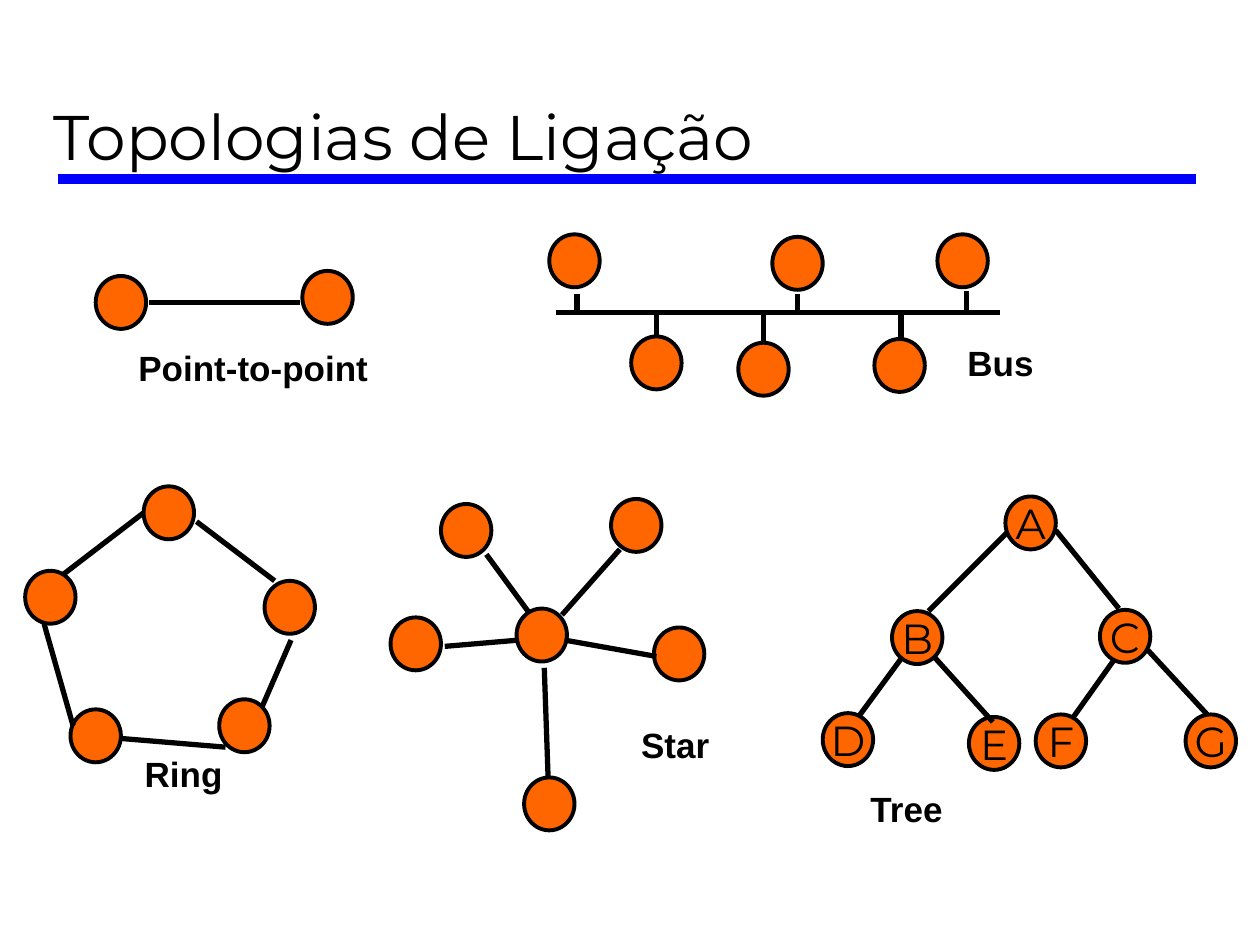
"""Build a slide that compares five network connection topologies."""
from lxml import etree
from pptx import Presentation
from pptx.dml.color import RGBColor
from pptx.enum.shapes import MSO_CONNECTOR, MSO_SHAPE
from pptx.enum.text import MSO_ANCHOR, MSO_AUTO_SIZE, PP_ALIGN
from pptx.oxml.ns import qn
from pptx.util import Cm, Pt

STRAIGHT = MSO_CONNECTOR.STRAIGHT
OVAL = MSO_SHAPE.OVAL
TOP, MIDDLE, BOTTOM = MSO_ANCHOR.TOP, MSO_ANCHOR.MIDDLE, MSO_ANCHOR.BOTTOM
NO_FIT = MSO_AUTO_SIZE.NONE
LEFT, CENTER = PP_ALIGN.LEFT, PP_ALIGN.CENTER

BLACK, BLUE, ORANGE = "000000", "0000FF", "FF6600"
CM_PER_UNIT = 2.54
NODE_WIDTH, NODE_HEIGHT = 0.4, 0.42
BUS_Y = 2.48
BUS_DROPS = [(4.58, 2.33), (6.33, 2.33), (7.67, 2.31),
             (5.21, 2.68), (6.06, 2.72), (7.15, 2.7)]

TITLE = ("Topologias de Ligação", (0.33, 0.17, 9.35, 1.25))
TITLE_RULE = (0.46, 1.42, 9.49, 1.42)

TOPOLOGIES = [
    {
        "label": ("Point-to-point", (1, 2.7, 2.04, 0.43)),
        "nodes": [("", 0.76, 2.19), ("", 2.4, 2.15)],
        "links": [(1.18, 2.4, 2.38, 2.4)],
    },
    {
        "label": ("Bus", (7.58, 2.66, 0.74, 0.43)),
        "nodes": [("", 4.36, 1.86), ("", 5.01, 2.67), ("", 5.86, 2.72),
                  ("", 6.13, 1.88), ("", 6.94, 2.69), ("", 7.44, 1.86)],
        "links": [(4.41, BUS_Y, 7.94, BUS_Y)]
        + [(x, y, x, BUS_Y) for x, y in BUS_DROPS],
    },
    {
        "label": ("Ring", (1.05, 5.92, 0.82, 0.43)),
        "nodes": [("", 1.14, 3.86), ("", 0.2, 4.53), ("", 2.1, 4.61),
                  ("", 0.56, 5.63), ("", 1.74, 5.55)],
        "links": [(0.5, 4.56, 1.14, 4.07), (1.56, 4.14, 2.18, 4.61),
                  (2.31, 5.08, 2.08, 5.61), (1.79, 5.93, 0.95, 5.86),
                  (0.58, 5.76, 0.35, 4.95)],
    },
    {
        "label": ("Star", (4.99, 5.69, 0.74, 0.43)),
        "nodes": [("", 3.5, 4), ("", 3.1, 4.9), ("", 4.1, 4.83),
                  ("", 4.16, 6.17), ("", 4.85, 3.96), ("", 5.19, 4.98)],
        "links": [(3.86, 4.4, 4.19, 4.85), (3.53, 5.13, 4.12, 5.08),
                  (4.92, 4.36, 4.46, 4.88), (5.21, 5.21, 4.48, 5.08),
                  (4.32, 5.3, 4.35, 6.17)],
    },
    {
        "label": ("Tree", (6.81, 6.2, 0.79, 0.43)),
        "nodes": [("A", 7.98, 3.94), ("B", 7.08, 4.85), ("C", 8.73, 4.84),
                  ("D", 6.53, 5.66), ("E", 7.69, 5.69), ("F", 8.22, 5.67),
                  ("G", 9.41, 5.67)],
        "links": [(7.37, 4.85, 7.99, 4.23), (8.38, 4.21, 8.88, 4.83),
                  (6.82, 5.68, 7.15, 5.23), (7.88, 5.73, 7.42, 5.22),
                  (8.52, 5.69, 8.84, 5.24), (9.58, 5.67, 9.11, 5.16)],
    },
]

TITLE_STYLE = {
    "frame": {"word_wrap": True, "auto_size": NO_FIT, "vertical_anchor": BOTTOM},
    "font": {"name": "Montserrat", "size": Pt(36), "bold": False},
    "paragraph": {"alignment": LEFT},
}
LABEL_STYLE = {
    "frame": {"word_wrap": False, "auto_size": NO_FIT, "vertical_anchor": TOP},
    "font": {"name": "Arial", "size": Pt(20), "bold": True},
    "paragraph": {"alignment": LEFT},
}
NODE_STYLE = {
    "frame": {"word_wrap": False, "auto_size": NO_FIT, "vertical_anchor": MIDDLE},
    "font": {"name": "Montserrat", "size": Pt(24), "bold": False},
    "paragraph": {"alignment": CENTER},
}


def color(hex_string):
    return RGBColor.from_string(hex_string)


def lengths(values):
    return [Cm(value * CM_PER_UNIT) for value in values]


def write(shape, text, style):
    frame = shape.text_frame
    paragraph = frame.paragraphs[0]
    run = paragraph.add_run()
    run.text = text
    run.font.color.rgb = color(BLACK)
    targets = {"frame": frame, "paragraph": paragraph, "font": run.font}
    for part, target in targets.items():
        for attribute, value in style[part].items():
            setattr(target, attribute, value)


def add_text(slide, text, box, style):
    write(slide.shapes.add_textbox(*lengths(box)), text, style)


def add_link(slide, ends, hex_string=BLACK, width=3):
    link = slide.shapes.add_connector(STRAIGHT, *lengths(ends))
    link.line.color.rgb = color(hex_string)
    link.line.width = Pt(width)
    etree.SubElement(link.element.spPr, qn("a:effectLst"))


def add_node(slide, letter, left, top):
    box = (left, top, NODE_WIDTH, NODE_HEIGHT)
    node = slide.shapes.add_shape(OVAL, *lengths(box))
    node.shadow.inherit = False
    node.fill.solid()
    node.fill.fore_color.rgb = color(ORANGE)
    node.line.color.rgb = color(BLACK)
    node.line.width = Pt(2.25)
    if letter:
        write(node, letter, NODE_STYLE)


def add_topology(slide, topology):
    for node in topology["nodes"]:
        add_node(slide, *node)
    for ends in topology["links"]:
        add_link(slide, ends)
    add_text(slide, *topology["label"], LABEL_STYLE)


def main():
    presentation = Presentation()
    presentation.slide_width, presentation.slide_height = lengths((10, 7.5))
    slide = presentation.slides.add_slide(presentation.slide_layouts[6])
    add_link(slide, TITLE_RULE, BLUE, 6)
    add_text(slide, *TITLE, TITLE_STYLE)
    for topology in TOPOLOGIES:
        add_topology(slide, topology)
    presentation.save("out.pptx")


if __name__ == "__main__":
    main()
